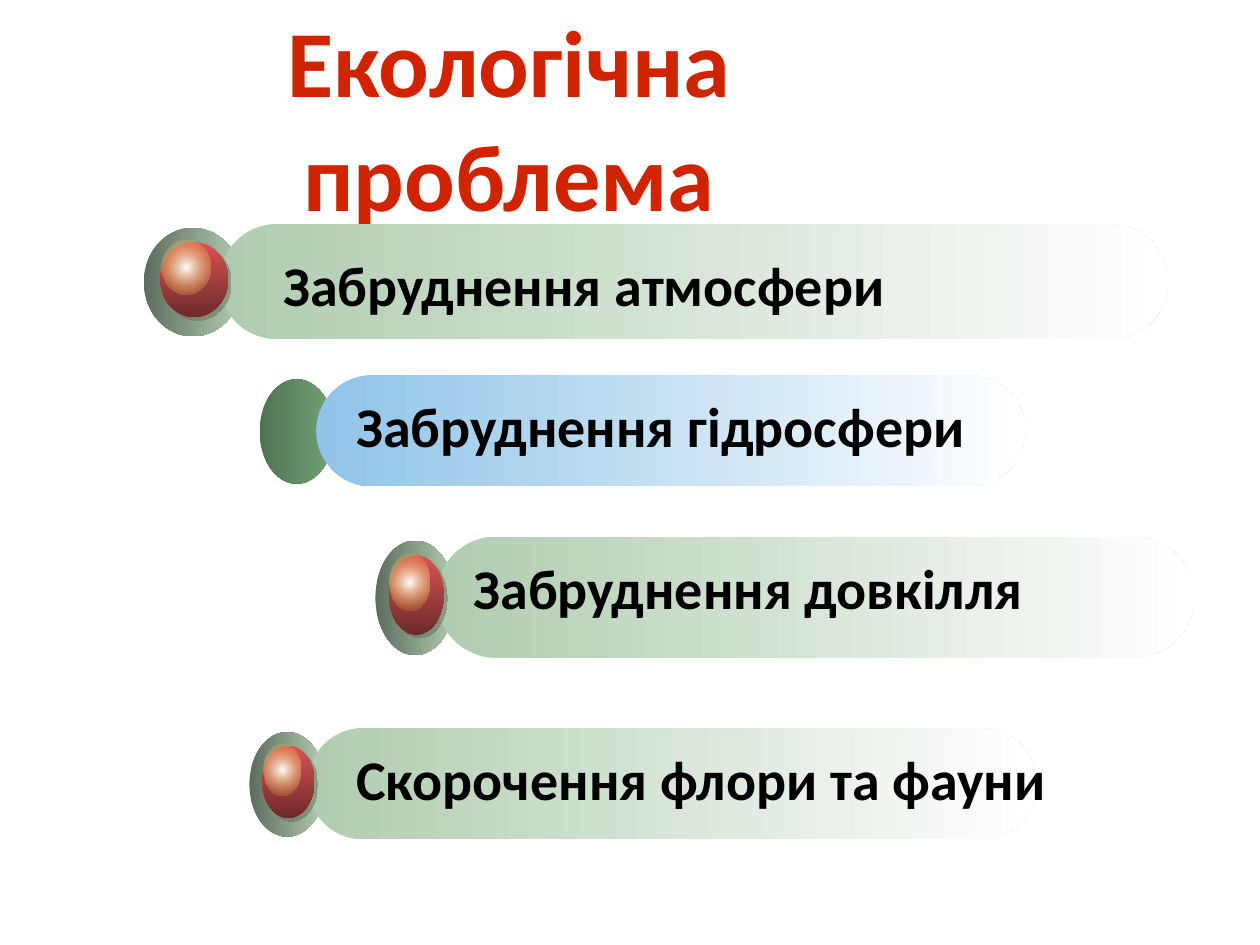
import pptx
import pptx.dml.color
import pptx.enum.shapes
import pptx.enum.text
import pptx.oxml
import pptx.oxml.ns
import pptx.util
from pptx.util import Inches

SHAPE = pptx.enum.shapes.MSO_SHAPE
NAMESPACE = pptx.oxml.ns.nsdecls("a")
GREEN, BLUE = "B0CCB0", "90C4E8"


def color(value):
    return pptx.dml.color.RGBColor.from_string(value)


class SlideBuilder:
    font = "Calibri"

    def __init__(self, presentation):
        self.slide = presentation.slides.add_slide(presentation.slide_layouts[5])
        self.shapes = self.slide.shapes

    def start_group(self):
        self.shapes = self.slide.shapes.add_group_shape().shapes

    def style_text(self, shape, text, size, text_color):
        frame = shape.text_frame
        frame.word_wrap = True
        paragraph = frame.paragraphs[0]
        paragraph.text = text
        paragraph.font.name = self.font
        paragraph.font.size = pptx.util.Pt(size)
        paragraph.font.bold = True
        paragraph.font.color.rgb = color(text_color)
        return paragraph

    def title(self, text, left, top, width, height):
        shape = self.slide.shapes.title
        shape.left, shape.top = Inches(left), Inches(top)
        shape.width, shape.height = Inches(width), Inches(height)
        shape.text_frame.vertical_anchor = pptx.enum.text.MSO_ANCHOR.MIDDLE
        paragraph = self.style_text(shape, text, 54, "D02300")
        paragraph.alignment = pptx.enum.text.PP_ALIGN.CENTER

    def label(self, text, left, top, width, height):
        box = self.shapes.add_textbox(Inches(left), Inches(top), Inches(width), Inches(height))
        self.style_text(box, text, 32, "000000")

    def gradient_shape(self, kind, left, top, width, height, start, end, angle=0):
        shape = self.shapes.add_shape(
            kind, Inches(left), Inches(top), Inches(width), Inches(height))
        shape.shadow.inherit = False
        shape.line.fill.background()
        shape.fill.gradient()
        # python-pptx measures the angle counter-clockwise
        shape.fill.gradient_angle = -angle % 360
        for stop, value in zip(shape.fill.gradient_stops, (start, end)):
            stop.color.rgb = color(value)
        return shape

    def bar(self, left, top, width, height, start):
        shape = self.gradient_shape(
            SHAPE.ROUNDED_RECTANGLE, left, top, width, height, start, "FFFFFF")
        shape.adjustments[0] = 0.5

    def disc(self, left, top, width, height, start, end):
        self.gradient_shape(SHAPE.OVAL, left, top, width, height, start, end)

    def ball(self, left, top, width, height):
        """Red ball with a glint, placed in proportion to its disc."""
        ball = self.gradient_shape(
            SHAPE.OVAL, left + 0.17 * width, top + 0.13 * height,
            0.69 * width, 0.69 * height, "DB5353", "6E2A2A", 90)
        effects = ball._element.spPr.find(pptx.oxml.ns.qn("a:effectLst"))
        effects.append(pptx.oxml.parse_xml(
            f'<a:outerShdw {NAMESPACE} dist="35560" dir="2700000" algn="ctr" rotWithShape="0">'
            '<a:srgbClr val="676A55"><a:alpha val="50000"/></a:srgbClr></a:outerShdw>'))

        glint = self.gradient_shape(
            SHAPE.OVAL, left + 0.18 * width, top + 0.11 * height,
            0.5 * width, 0.5 * height, "FFFFFF", "E9940B")
        gradient = glint._element.spPr.find(pptx.oxml.ns.qn("a:gradFill"))
        outer_color = gradient.findall(".//" + pptx.oxml.ns.qn("a:srgbClr"))[-1]
        outer_color.append(pptx.oxml.parse_xml(f'<a:alpha {NAMESPACE} val="0"/>'))
        gradient.replace(
            gradient.find(pptx.oxml.ns.qn("a:lin")),
            pptx.oxml.parse_xml(
                f'<a:path {NAMESPACE} path="circle">'
                '<a:fillToRect l="50000" t="50000" r="50000" b="50000"/></a:path>'))


# Text, label place, bar place, disc left and width, bar colour
ROWS = [
    ("Забруднення атмосфери", (2.15, 1.94, 5.11, 0.63), (1.74, 1.78, 7.53, 0.91), (1.14, 0.78), GREEN),
    ("Забруднення гідросфери", (2.73, 3.06, 5.36, 0.64), (2.51, 2.98, 5.63, 0.88), (2.06, 0.59), BLUE),
    ("Забруднення довкілля", (3.66, 4.34, 5.11, 0.63), (3.46, 4.26, 6.02, 0.96), (2.98, 0.63), GREEN),
    ("Скорочення флори та фауни", (2.73, 5.86, 6.12, 0.63), (2.44, 5.78, 5.79, 0.88), (1.98, 0.6), GREEN),
]


def main():
    presentation = pptx.Presentation()
    presentation.slide_width, presentation.slide_height = Inches(10), Inches(7.5)
    builder = SlideBuilder(presentation)

    # Title
    builder.title("Екологічна проблема", 0.5, 0.3, 7.08, 1.25)

    # One group per problem: disc, bar, ball and label
    for text, label_place, bar_place, (disc_left, disc_width), bar_color in ROWS:
        builder.start_group()
        bar_top, bar_height = bar_place[1], bar_place[3]
        disc_place = (disc_left, bar_top + 0.03, disc_width, bar_height - 0.05)
        has_ball = bar_color == GREEN
        disc_colors = ("5E6D5E", GREEN) if has_ball else ("507253", "72A376")
        builder.disc(*disc_place, *disc_colors)
        builder.bar(*bar_place, bar_color)
        if has_ball:
            builder.ball(*disc_place)
        builder.label(text, *label_place)

    presentation.save("out.pptx")


if __name__ == "__main__":
    main()
